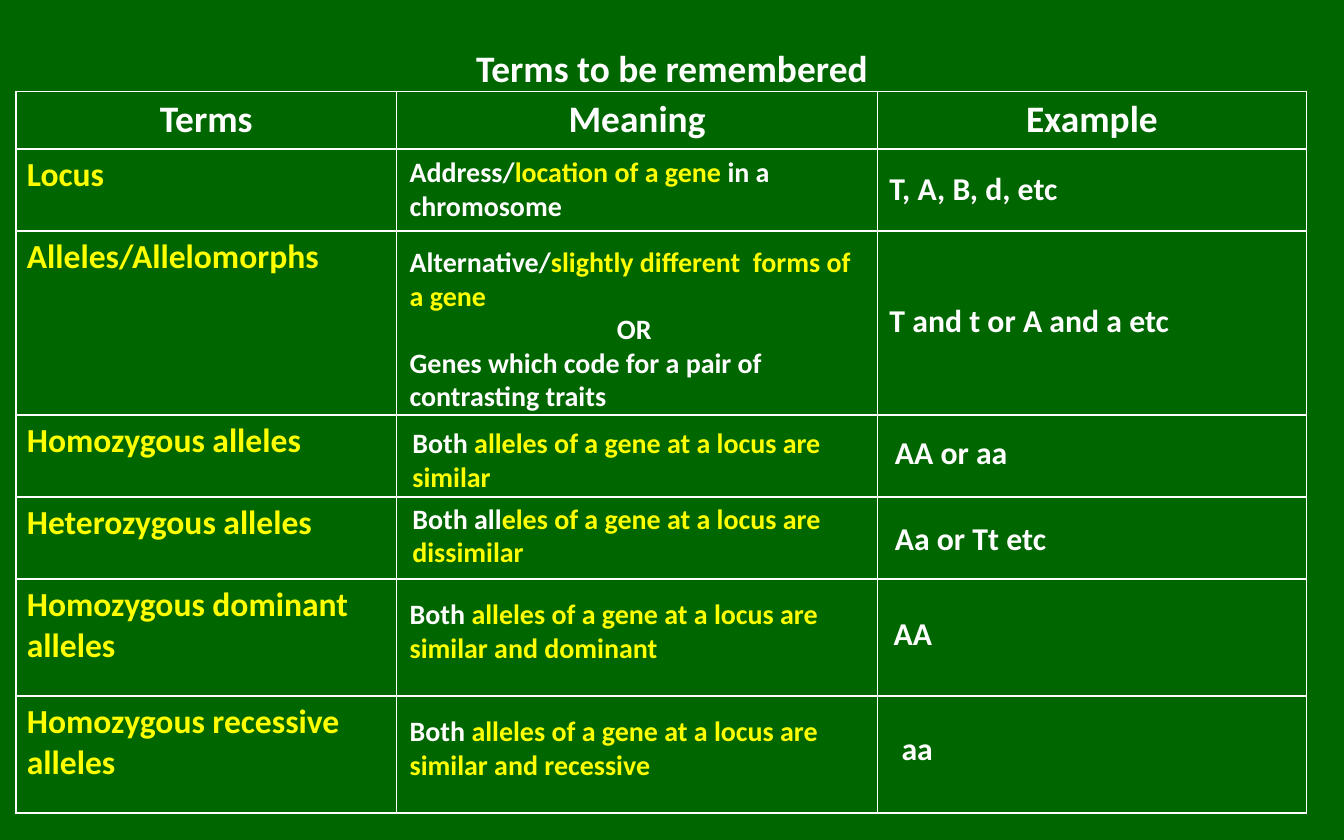
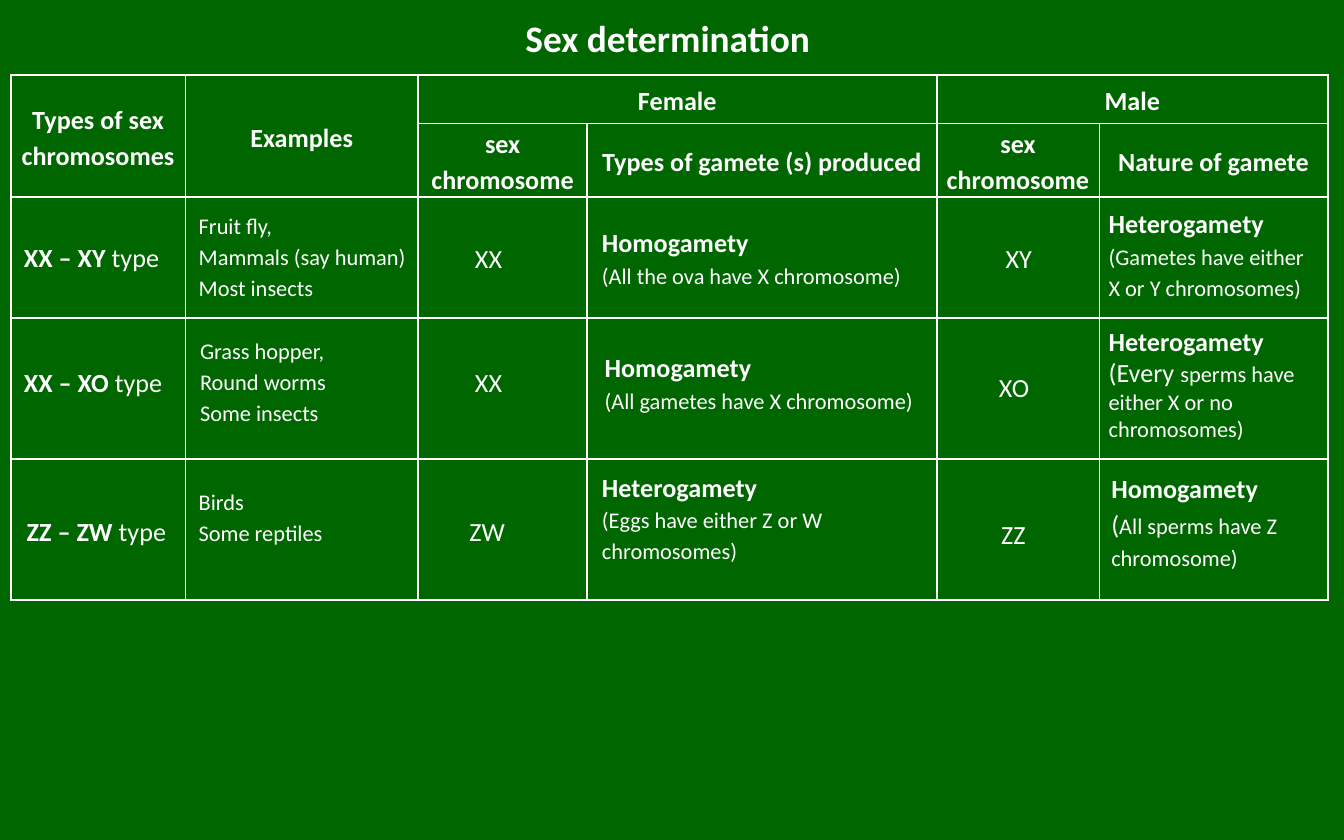
from lxml import etree
from pptx import Presentation
from pptx.dml.color import RGBColor
from pptx.enum.text import MSO_ANCHOR, MSO_AUTO_SIZE, PP_ALIGN
from pptx.oxml.ns import qn
from pptx.util import Inches, Pt

GREEN, WHITE, YELLOW = "006600", "FFFFFF", "FFFF00"
FONT = "Calibri"
LEFT, CENTER = PP_ALIGN.LEFT, PP_ALIGN.CENTER
TITLE_ONLY = 5

# Run formats
HEADING = {"size": 20, "bold": True}
TERM = {"size": 18, "bold": True, "color": YELLOW}
MEANING = {"size": 15, "bold": True}
KEY = {**MEANING, "color": YELLOW}
EXAMPLE = {"size": 17, "bold": True}
STRONG = {"size": 14, "bold": True}
PLAIN = {"size": 14}
SMALL = {"size": 12}


def rgb(code):
    return RGBColor.from_string(code)


def set_values(target, values):
    for name, value in values.items():
        setattr(target, name, value)


def write(frame, paragraphs, align=LEFT, spacing=None):
    """Each paragraph is a list of (text, format) runs; aligns may vary by paragraph."""
    aligns = align if isinstance(align, list) else [align] * len(paragraphs)
    for index, (runs, side) in enumerate(zip(paragraphs, aligns)):
        para = frame.paragraphs[0] if index == 0 else frame.add_paragraph()
        set_values(para, {"alignment": side, "line_spacing": spacing})
        for text, style in runs:
            span = para.add_run()
            span.text = text
            set_values(span.font, {"name": FONT, "size": Pt(style["size"]),
                                   "bold": style.get("bold", False)})
            span.font.color.rgb = rgb(style.get("color", WHITE))


def add_page(deck, title, top, height):
    page = deck.slides.add_slide(deck.slide_layouts[TITLE_ONLY])
    heading = page.shapes.title
    set_values(heading, {"left": Inches(1.25), "top": Inches(top),
                         "width": Inches(7.5), "height": Inches(height)})
    heading.text_frame.vertical_anchor = MSO_ANCHOR.MIDDLE
    write(heading.text_frame, [[(title, HEADING)]], CENTER)
    return page


def add_text(page, place, paragraphs, align=LEFT, spacing=None, wrap=True):
    box = page.shapes.add_textbox(*map(Inches, place))
    set_values(box.text_frame, {"word_wrap": wrap,
                                "auto_size": MSO_AUTO_SIZE.SHAPE_TO_FIT_TEXT})
    write(box.text_frame, paragraphs, align, spacing)


def outline(cell):
    properties = cell._tc.get_or_add_tcPr()
    for side in ("a:lnL", "a:lnR", "a:lnT", "a:lnB"):
        line = etree.SubElement(properties, qn(side), w=str(Pt(1)))
        fill = etree.SubElement(line, qn("a:solidFill"))
        etree.SubElement(fill, qn("a:srgbClr"), val=WHITE)


def add_grid(page, left, top, widths, heights):
    place = map(Inches, (left, top, sum(widths), sum(heights)))
    table = page.shapes.add_table(len(heights), len(widths), *place).table
    set_values(table, {"first_row": False, "horz_banding": False})
    for column, width in zip(table.columns, widths):
        column.width = Inches(width)
    for row, height in zip(table.rows, heights):
        row.height = Inches(height)
    for cell in table.iter_cells():
        outline(cell)
        cell.fill.background()
    return table


def fill_cell(cell, text, style, side, edge, align=LEFT, spacing=None,
              anchor=MSO_ANCHOR.TOP):
    set_values(cell, {"margin_left": Inches(side), "margin_right": Inches(side),
                      "margin_top": Inches(edge), "margin_bottom": Inches(edge),
                      "vertical_anchor": anchor})
    write(cell.text_frame, [[(text, style)]], align, spacing)


def build_terms(deck):
    page = add_page(deck, "Terms to be remembered", -0.02, 1.04)

    # Grid with headings and the list of terms
    table = add_grid(page, 0.12, 0.68, [2.83, 3.58, 3.19],
                     [0.43, 0.61, 1.37, 0.61, 0.61, 0.87, 0.87])
    for column, text in enumerate(["Terms", "Meaning", "Example"]):
        fill_cell(table.cell(0, column), text, HEADING, 0.08, 0.04, CENTER)
    terms = ["Locus", "Alleles/Allelomorphs", "Homozygous alleles",
             "Heterozygous alleles", "Homozygous dominant alleles",
             "Homozygous recessive alleles"]
    for row, text in enumerate(terms, 1):
        fill_cell(table.cell(row, 0), text, TERM, 0.08, 0.04)

    # Meanings
    add_text(page, (2.95, 1.1, 3.54, 0.61),
             [[("Address/", MEANING), ("location of a gene ", KEY),
               ("in a chromosome", MEANING)]])
    add_text(page, (2.95, 1.77, 3.54, 1.36),
             [[("Alternative/", MEANING),
               ("slightly different  forms of a gene", KEY)],
              [("OR", MEANING)],
              [("Genes which code for a pair of contrasting traits", MEANING)]],
             [LEFT, CENTER, LEFT])
    pairs = [
        (2.97, 3.12, "Both ", "alleles of a gene at a locus are similar"),
        (2.97, 3.68, "Both all", "eles of a gene at a locus are dissimilar"),
        (2.95, 4.39, "Both ", "alleles of a gene at a locus are similar and dominant"),
        (2.95, 5.26, "Both ", "alleles of a gene at a locus are similar and recessive"),
    ]
    for left, top, opening, key in pairs:
        add_text(page, (left, top, 3.52, 0.61), [[(opening, MEANING), (key, KEY)]])

    # Examples
    examples = [
        (6.52, 1.21, 1.46, "T, A, B, d, etc"),
        (6.52, 2.19, 2.3, "T and t or A and a etc"),
        (6.56, 3.17, 1.05, "AA or aa"),
        (6.56, 3.81, 1.33, "Aa or Tt etc"),
        (6.55, 4.52, 0.49, "AA"),
        (6.61, 5.37, 0.44, "aa"),
    ]
    for left, top, width, text in examples:
        add_text(page, (left, top, width, 0.39), [[(text, EXAMPLE)]], wrap=False)


def build_sex_determination(deck):
    page = add_page(deck, "Sex determination ", 0.03, 0.5)
    spacing = 1.15

    # Grid with a two-level heading
    table = add_grid(page, 0.08, 0.56, [1.3, 1.73, 1.26, 2.6, 1.21, 1.7],
                     [0.36, 0.42, 0.9, 1.05, 1.05])
    for first, last in [((0, 0), (1, 0)), ((0, 1), (1, 1)),
                        ((0, 2), (0, 3)), ((0, 4), (0, 5))]:
        table.cell(*first).merge(table.cell(*last))
    headings = {
        (0, 0): "Types of sex chromosomes", (0, 1): "Examples",
        (0, 2): "Female", (0, 4): "Male",
        (1, 2): "sex chromosome", (1, 3): "Types of gamete (s) produced",
        (1, 4): "sex chromosome", (1, 5): "Nature of gamete",
    }
    for position, text in headings.items():
        fill_cell(table.cell(*position), text, STRONG, 0.06, 0, CENTER, spacing,
                  MSO_ANCHOR.MIDDLE)

    # Example organisms
    organisms = [
        ((1.38, 1.5, 1.79, 0.78), ["Fruit fly,", "Mammals (say human)", "Most insects"]),
        ((1.39, 2.43, 1.63, 0.78), ["Grass hopper,", "Round worms", "Some insects"]),
        ((1.38, 3.55, 1.16, 0.55), ["Birds", "Some reptiles"]),
    ]
    for place, names in organisms:
        add_text(page, place, [[(name, SMALL)] for name in names], spacing=spacing)

    # Sex chromosomes of females and males
    chromosomes = [
        (3.43, 1.72, 0.41, "XX"), (3.43, 2.64, 0.41, "XX"), (3.39, 3.75, 0.47, "ZW"),
        (7.38, 1.72, 0.4, "XY"), (7.33, 2.68, 0.43, "XO"), (7.35, 3.77, 0.38, "ZZ"),
    ]
    for left, top, width, text in chromosomes:
        add_text(page, (left, top, width, 0.36), [[(text, PLAIN)]], CENTER, spacing,
                 wrap=False)

    # Gametes: a bold kind above its explanation
    gametes = [
        ((4.38, 1.6, 2.45, 0.59), "Homogamety", spacing,
         [("(All the ova have X chromosome)", SMALL)]),
        ((4.4, 2.53, 2.58, 0.59), "Homogamety", spacing,
         [("(All gametes have X chromosome)", SMALL)]),
        ((4.38, 3.42, 2.45, 0.82), "Heterogamety", spacing,
         [("(Eggs have either Z or W chromosomes)", SMALL)]),
        ((8.15, 1.46, 1.74, 0.82), "Heterogamety", spacing,
         [("(Gametes have either X or Y chromosomes)", SMALL)]),
        ((8.15, 2.37, 1.85, 0.98), "Heterogamety", None,
         [("(Every ", PLAIN), ("sperms have either X or no chromosomes)", SMALL)]),
        ((8.17, 3.43, 1.72, 0.86), "Homogamety", spacing,
         [("(", PLAIN), ("All sperms have Z chromosome)", SMALL)]),
    ]
    for place, kind, leading, explanation in gametes:
        add_text(page, place, [[(kind, STRONG)], explanation], spacing=leading)

    # Types in the first column
    types = [(0.08, 1.71, 1.22, "XX – XY "), (0.08, 2.64, 1.24, "XX – XO "),
             (0.1, 3.75, 1.25, "ZZ – ZW ")]
    for left, top, width, name in types:
        add_text(page, (left, top, width, 0.36), [[(name, STRONG), ("type", PLAIN)]],
                 spacing=spacing, wrap=False)


def main():
    deck = Presentation()
    set_values(deck, {"slide_width": Inches(10), "slide_height": Inches(6.25)})
    background = deck.slide_master.background.fill
    background.solid()
    background.fore_color.rgb = rgb(GREEN)
    build_terms(deck)
    build_sex_determination(deck)
    deck.save("out.pptx")


if __name__ == "__main__":
    main()
